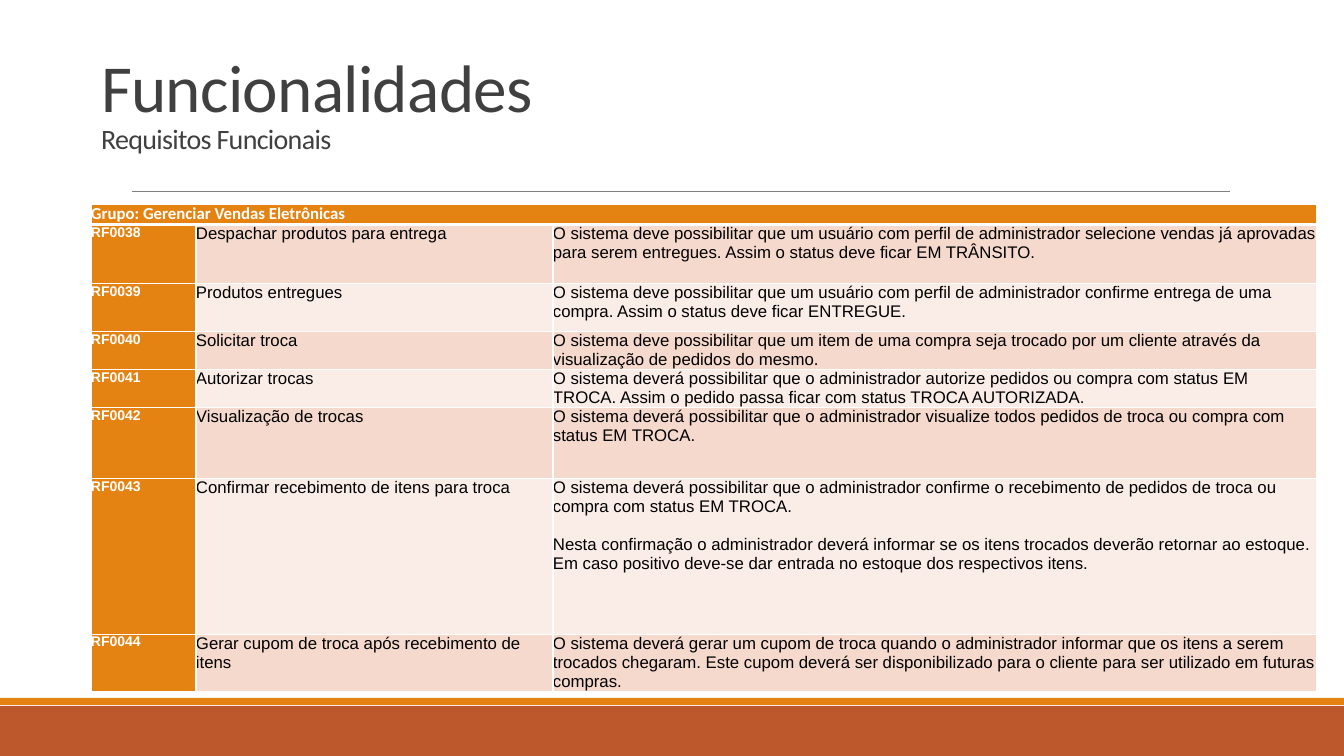
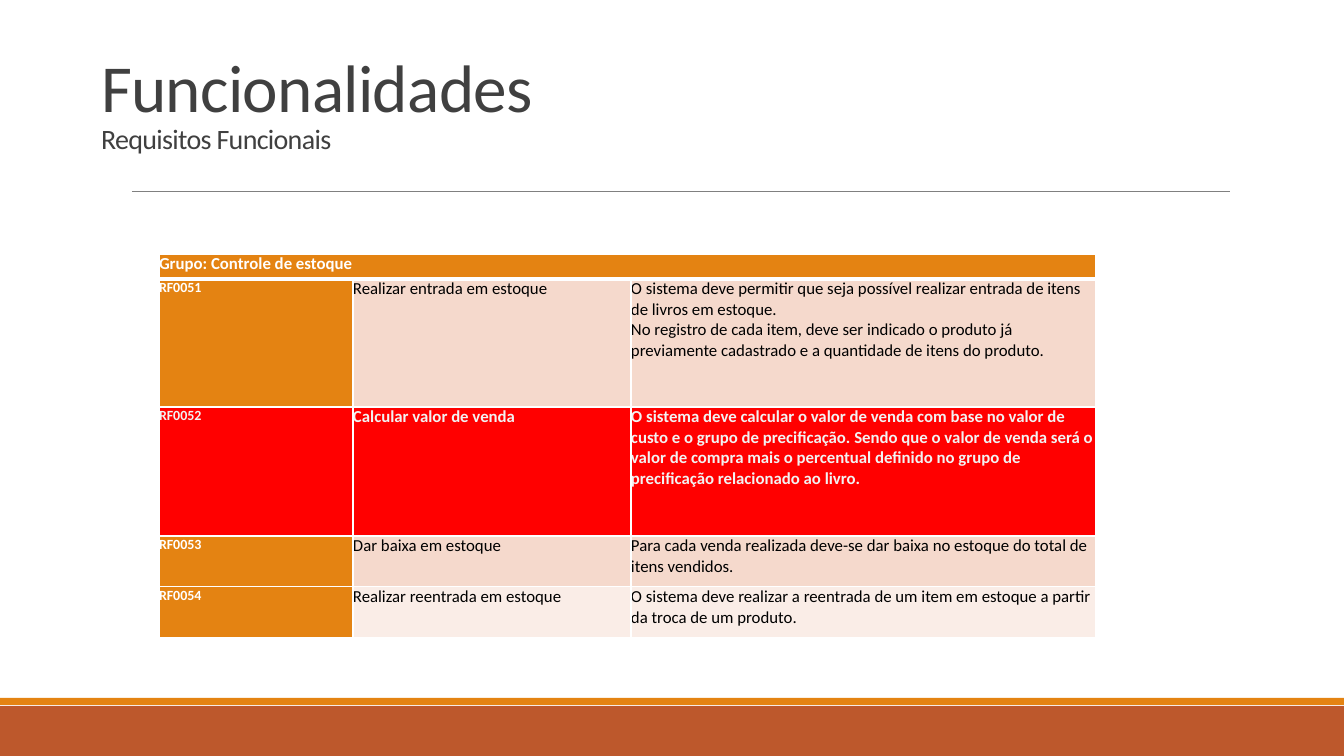
import pptx
import pptx.util
import pptx.dml.color
import pptx.enum.shapes
import pptx.enum.text
import pptx.oxml
import pptx.oxml.ns

PX = 914400 / 100.8
COLORS = {"orange": "E48312", "rust": "BD582C", "rule": "808080", "title": "404040",
          "dark_band": "F5D9CC", "light_band": "FAEDE7", "alert": "FF0000",
          "alert_text": "F2F2F2", "white": "FFFFFF", "black": "000000"}

SLIDES = [
    {"group": "Grupo: Gerenciar Vendas Eletrônicas",
     "font": "Arial", "left": 91, "top": 204,
     "columns": [105, 357, 764],
     "heights": [20, 59, 48, 38, 38, 71, 156, 57],
     "alerts": [],
     "rows": [
         ("RF0038", "Despachar produtos para entrega",
          "O sistema deve possibilitar que um usuário com perfil de administrador selecione vendas já "
          "aprovadas para serem entregues. Assim o status deve ficar EM TRÂNSITO."),
         ("RF0039", "Produtos entregues",
          "O sistema deve possibilitar que um usuário com perfil de administrador confirme entrega de "
          "uma compra. Assim o status deve ficar ENTREGUE."),
         ("RF0040", "Solicitar troca",
          "O sistema deve possibilitar que um item de uma compra seja trocado por um cliente através da "
          "visualização de pedidos do mesmo."),
         ("RF0041", "Autorizar trocas",
          "O sistema deverá possibilitar que o administrador autorize pedidos ou compra com status EM "
          "TROCA. Assim o pedido passa ficar com status TROCA AUTORIZADA."),
         ("RF0042", "Visualização de trocas",
          "O sistema deverá possibilitar que o administrador visualize todos pedidos de troca ou compra "
          "com status EM TROCA."),
         ("RF0043", "Confirmar recebimento de itens para troca",
          "O sistema deverá possibilitar que o administrador confirme o recebimento de pedidos de troca "
          "ou compra com status EM TROCA.\n"
          "Nesta confirmação o administrador deverá informar se os itens trocados deverão retornar ao "
          "estoque. Em caso positivo deve-se dar entrada no estoque dos respectivos itens."),
         ("RF0044", "Gerar cupom de troca após recebimento de itens",
          "O sistema deverá gerar um cupom de troca quando o administrador informar que os itens a serem "
          "trocados chegaram. Este cupom deverá ser disponibilizado para o cliente para ser utilizado em "
          "futuras compras."),
     ],
     "paragraph_gap": 14},
    {"group": "Grupo: Controle de estoque",
     "font": "Calibri", "left": 159, "top": 254,
     "columns": [194, 278, 465],
     "heights": [25, 128, 129, 51, 51],
     "alerts": ["RF0052"],
     "rows": [
         ("RF0051", "Realizar entrada em estoque",
          "O sistema deve permitir que seja possível realizar entrada de itens de livros em estoque.\n"
          "No registro de cada item, deve ser indicado o produto já previamente cadastrado e a quantidade "
          "de itens do produto."),
         ("RF0052", "Calcular valor de venda",
          "O sistema deve calcular o valor de venda com base no valor de custo e o grupo de precificação. "
          "Sendo que o valor de venda será o valor de compra mais o percentual definido no grupo de "
          "precificação relacionado ao livro."),
         ("RF0053", "Dar baixa em estoque",
          "Para cada venda realizada deve-se dar baixa no estoque do total de itens vendidos."),
         ("RF0054", "Realizar reentrada em estoque",
          "O sistema deve realizar a reentrada de um item em estoque a partir da troca de um produto."),
     ],
     "paragraph_gap": 0},
]


def px(*lengths):
    return [pptx.util.Emu(round(length * PX)) for length in lengths]


def format_cell(cell, text, font_name, size, color, bold, fill, gap=0, top=1, bottom=1):
    cell.margin_left = cell.margin_right = cell.margin_top = cell.margin_bottom = 0
    cell.text_frame.text = text
    for index, paragraph in enumerate(cell.text_frame.paragraphs):
        if index:
            paragraph.space_before = pptx.util.Pt(gap)
        for run in paragraph.runs:
            run.font.name = font_name
            run.font.size = pptx.util.Pt(size)
            run.font.bold = bold
            run.font.color.rgb = pptx.dml.color.RGBColor.from_string(COLORS[color])
    properties = cell._tc.get_or_add_tcPr()
    for side, width in (("L", 1), ("R", 1), ("T", top), ("B", bottom)):
        properties.append(pptx.oxml.parse_xml(
            f'<a:ln{side} {pptx.oxml.ns.nsdecls("a")} w="{width * 12700}"><a:solidFill>'
            f'<a:srgbClr val="{COLORS["white"]}"/></a:solidFill></a:ln{side}>'))
    cell.fill.solid()
    cell.fill.fore_color.rgb = pptx.dml.color.RGBColor.from_string(COLORS[fill])


presentation = pptx.Presentation()
presentation.slide_width, presentation.slide_height = px(1344, 756)

# Title-only layout: title position, without date, footer and number
layout = presentation.slide_layouts[5]
for placeholder in list(layout.placeholders):
    if placeholder.placeholder_format.type == pptx.enum.shapes.PP_PLACEHOLDER.TITLE:
        placeholder.left, placeholder.top, placeholder.width, placeholder.height = px(91, 0, 1109, 160)
    else:
        layout.shapes._spTree.remove(placeholder._element)

slides = [presentation.slides.add_slide(layout) for content in SLIDES]

# Bottom bands and title rule, drawn once and moved to the layout
shared_shapes = []
for color, top, height in (("rust", 706, 50), ("orange", 698, 7)):
    band = slides[0].shapes.add_shape(
        pptx.enum.shapes.MSO_SHAPE.RECTANGLE, *px(0, top, 1344, height))
    band.shadow.inherit = False
    band.fill.solid()
    band.fill.fore_color.rgb = pptx.dml.color.RGBColor.from_string(COLORS[color])
    band.line.fill.background()
    shared_shapes.append(band)
rule = slides[0].shapes.add_connector(
    pptx.enum.shapes.MSO_CONNECTOR.STRAIGHT, *px(132, 191, 1230, 191))
rule.line.color.rgb = pptx.dml.color.RGBColor.from_string(COLORS["rule"])
rule.line.width = pptx.util.Pt(0.5)
rule._element.spPr.append(pptx.oxml.parse_xml(f'<a:effectLst {pptx.oxml.ns.nsdecls("a")}/>'))
shared_shapes.append(rule)
for shape in shared_shapes:
    layout.shapes._spTree.append(shape._element)

for slide, content in zip(slides, SLIDES):
    # Title and subtitle
    title_frame = slide.shapes.title.text_frame
    title_frame.text = "Funcionalidades\vRequisitos Funcionais"
    title_frame.auto_size = pptx.enum.text.MSO_AUTO_SIZE.NONE
    title_frame.vertical_anchor = pptx.enum.text.MSO_ANCHOR.BOTTOM
    paragraph = title_frame.paragraphs[0]
    paragraph.alignment = pptx.enum.text.PP_ALIGN.LEFT
    paragraph.line_spacing = 0.85
    for run, size in zip(paragraph.runs, (48, 20)):
        run.font.name = "Calibri"
        run.font.size = pptx.util.Pt(size)
        run.font.color.rgb = pptx.dml.color.RGBColor.from_string(COLORS["title"])
        run._r.get_or_add_rPr().set("spc", "-50")

    # Requirements table
    columns, heights = content["columns"], content["heights"]
    frame = slide.shapes.add_table(
        len(heights), len(columns),
        *px(content["left"], content["top"], sum(columns), sum(heights)))
    table = frame.table
    for column, width in zip(table.columns, px(*columns)):
        column.width = width
    for row, height in zip(table.rows, px(*heights)):
        row.height = height

    # Group header across all columns
    for index, cell in enumerate(table.rows[0].cells):
        format_cell(cell, "" if index else content["group"], "Calibri", 12, "white", True,
                    "orange", bottom=3)
    table.cell(0, 0).merge(table.cell(0, len(columns) - 1))

    # One requirement a row, in alternating bands
    for row_index, texts in enumerate(content["rows"], 1):
        alert = texts[0] in content["alerts"]
        band_color = "dark_band" if row_index % 2 else "light_band"
        for column_index, text in enumerate(texts):
            is_code = column_index == 0
            color = "alert_text" if alert else "white" if is_code else "black"
            fill = "alert" if alert else "orange" if is_code else band_color
            format_cell(table.cell(row_index, column_index), text, content["font"],
                        10 if is_code else 12, color, is_code or alert, fill,
                        content["paragraph_gap"], top=3 if row_index == 1 else 1)

presentation.save("out.pptx")
